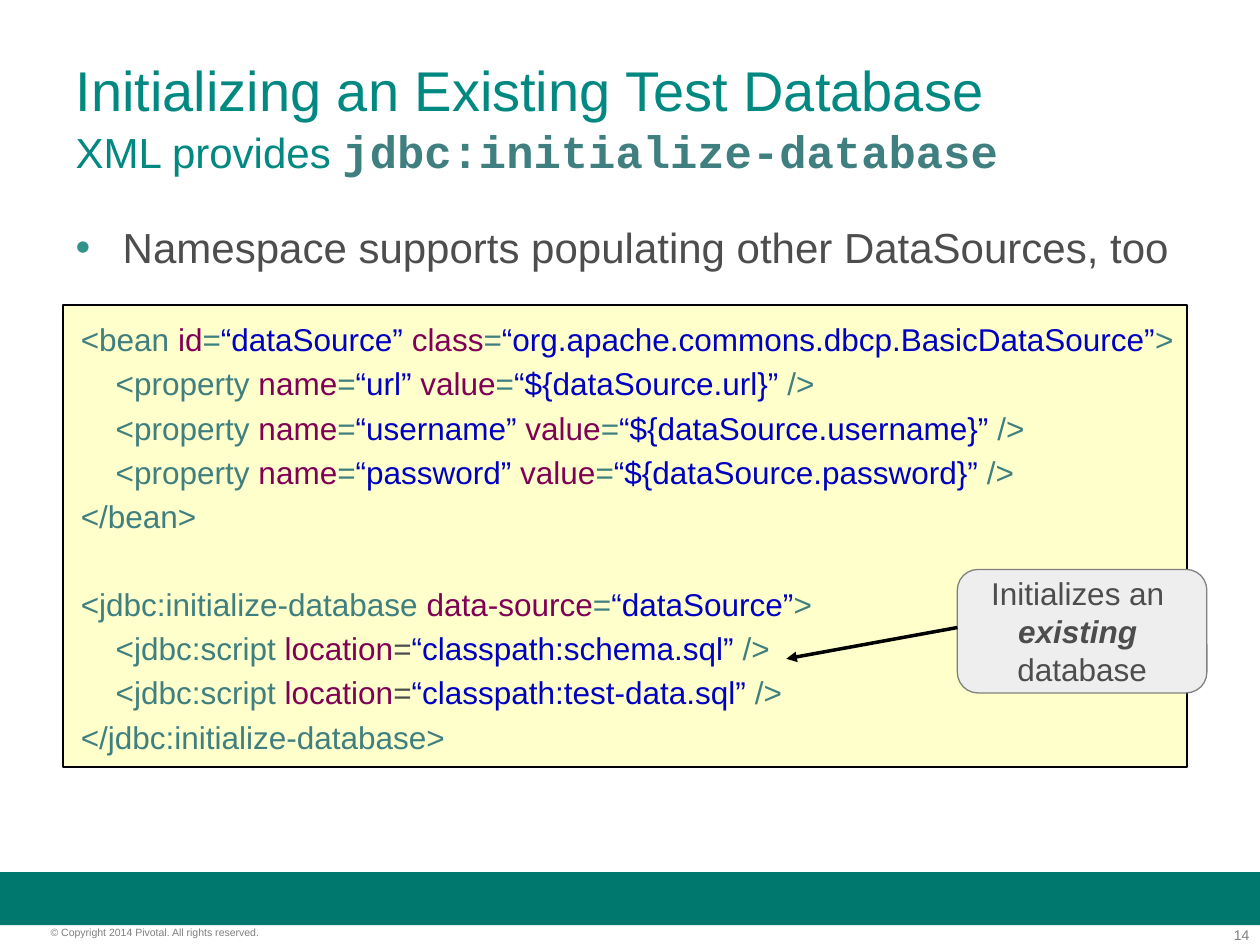
from lxml.etree import SubElement
from pptx import Presentation
from pptx.dml.color import RGBColor
from pptx.enum.shapes import MSO_CONNECTOR, MSO_SHAPE
from pptx.enum.text import MSO_ANCHOR, MSO_AUTO_SIZE, PP_ALIGN
from pptx.oxml.ns import qn
from pptx.util import Cm, Pt

TEAL, TAG, ATTR, VALUE = "008881", "3F7F7F", "7F0055", "0000C0"
GREY, PALE, BLACK = "4D4D4D", "7F7F7F", "000000"
hue = RGBColor.from_string


def style(font, size, tint, name="Arial", bold=False):
    font.size, font.name, font.bold = Pt(size), name, bold
    font.color.rgb = hue(tint)


def block(kind, left, top, width, height, fill, line=None, weight=0):
    shape = slide.shapes.add_shape(kind, Cm(left), Cm(top), Cm(width), Cm(height))
    shape.shadow.inherit = False
    shape.fill.solid()
    shape.fill.fore_color.rgb = hue(fill)
    if line:
        shape.line.color.rgb = hue(line)
        shape.line.width = Pt(weight)
    else:
        shape.line.fill.background()
    return shape


deck = Presentation()
deck.slide_width, deck.slide_height = Cm(25.4), Cm(19.05)
slide = deck.slides.add_slide(deck.slide_layouts[1])
title, body = slide.placeholders

# Title
title.left, title.top, title.width, title.height = Cm(1.27), Cm(0.76), Cm(22.86), Cm(3.18)
frame = title.text_frame
frame.auto_size = MSO_AUTO_SIZE.NONE
frame.vertical_anchor = MSO_ANCHOR.MIDDLE
para = frame.paragraphs[0]
para.text = "Initializing an Existing Test Database\vXML provides "
para.alignment = PP_ALIGN.LEFT
para.add_run().text = "jdbc:initialize-database"
head, sub, code = para.runs
style(head.font, 32, TEAL)
style(sub.font, 24, TEAL)
style(code.font, 26, TAG, "Courier New", True)
SubElement(frame._txBody.find(".//" + qn("a:br")), qn("a:rPr"), sz="3200")

# Bullet list
body.left, body.top, body.width, body.height = Cm(1.27), Cm(4.45), Cm(22.86), Cm(12.57)
frame = body.text_frame
frame.auto_size = MSO_AUTO_SIZE.NONE
para = frame.paragraphs[0]
para.text = "Namespace supports populating other DataSources, too"
para.line_spacing, para.space_before = 0.9, Pt(0)
props = para._p.get_or_add_pPr()
props.set("marL", str(Cm(0.95)))
props.set("indent", str(-Cm(0.95)))
SubElement(SubElement(props, qn("a:buClr")), qn("a:srgbClr"), val="33928A")
SubElement(props, qn("a:buChar"), char="•")
style(para.runs[0].font, 24, GREY)

# Code panel: pieces of a line are parted by bars
beans = [
    "<bean |id|=|“dataSource” |class|=|“org.apache.commons.dbcp.BasicDataSource”|>",
    *[f"    <property |name|=|“{key}” |value|=|“${{dataSource.{key}}}” |/>"
      for key in ("url", "username", "password")],
    "</bean>",
]
setup = [
    "<jdbc:initialize-database |data-source|=|“dataSource”|>",
    *[f"    <jdbc:script |location|=|“classpath:{file}.sql” |/>"
      for file in ("schema", "test-data")],
    "</jdbc:initialize-database>",
]
names = {"id", "class", "name", "value", "data-source", "location"}
panel = block(MSO_SHAPE.RECTANGLE, 1.27, 6.15, 22.66, 9.32, "FFFFCC", BLACK, 1)
frame = panel.text_frame
frame.word_wrap = True
frame.vertical_anchor = MSO_ANCHOR.MIDDLE
frame.margin_left, frame.margin_right = Cm(0.36), Cm(0.13)
frame.margin_top, frame.margin_bottom = Cm(0.19), Cm(0.13)
for row, line in enumerate(beans + setup):
    para = frame.add_paragraph() if row else frame.paragraphs[0]
    para.alignment = PP_ALIGN.LEFT
    if row:
        para.space_before = Pt(28.2 if row == len(beans) else 3.75)
    for piece in line.split("|"):
        run = para.add_run()
        run.text = piece
        if piece in names:
            tint = ATTR
        elif piece.startswith("“"):
            tint = VALUE
        elif piece == "=" and "location" in line:
            tint = GREY
        else:
            tint = TAG
        style(run.font, 18, tint)

# Callout and its arrow
note = block(MSO_SHAPE.ROUNDED_RECTANGLE, 19.3, 11.48, 5.03, 2.49, "EEEEEE", "808080")
frame = note.text_frame
frame.word_wrap = False
frame.vertical_anchor = MSO_ANCHOR.MIDDLE
frame.text = "Initializes an \nexisting \ndatabase"
for row, para in enumerate(frame.paragraphs):
    para.alignment = PP_ALIGN.CENTER
    style(para.runs[0].font, 18, GREY, bold=row == 1)
    para.runs[0].font.italic = row == 1

arrow = slide.shapes.add_connector(
    MSO_CONNECTOR.STRAIGHT, Cm(19.3), Cm(12.65), Cm(15.85), Cm(13.28))
arrow.line.color.rgb = hue(BLACK)
arrow.line.width = Pt(0)
SubElement(arrow.line._get_or_add_ln(), qn("a:tailEnd"), type="triangle")
SubElement(arrow._element.spPr, qn("a:effectLst"))

# Footer band, copyright and page number
block(MSO_SHAPE.RECTANGLE, 0, 17.58, 25.4, 1.07, "00786E")
for left, width, height, text, size, align in (
    (1.02, 6.32, 0.25, "© Copyright 2014 Pivotal. All rights reserved.", 6, PP_ALIGN.LEFT),
    (23.72, 1.47, 0.33, "14", 8, PP_ALIGN.RIGHT),
):
    foot = slide.shapes.add_textbox(Cm(left), Cm(18.67), Cm(width), Cm(height))
    frame = foot.text_frame
    frame.word_wrap = True
    frame.margin_left = frame.margin_right = frame.margin_top = frame.margin_bottom = 0
    frame.text = text
    frame.paragraphs[0].alignment = align
    style(frame.paragraphs[0].runs[0].font, size, PALE)

deck.save("out.pptx")
